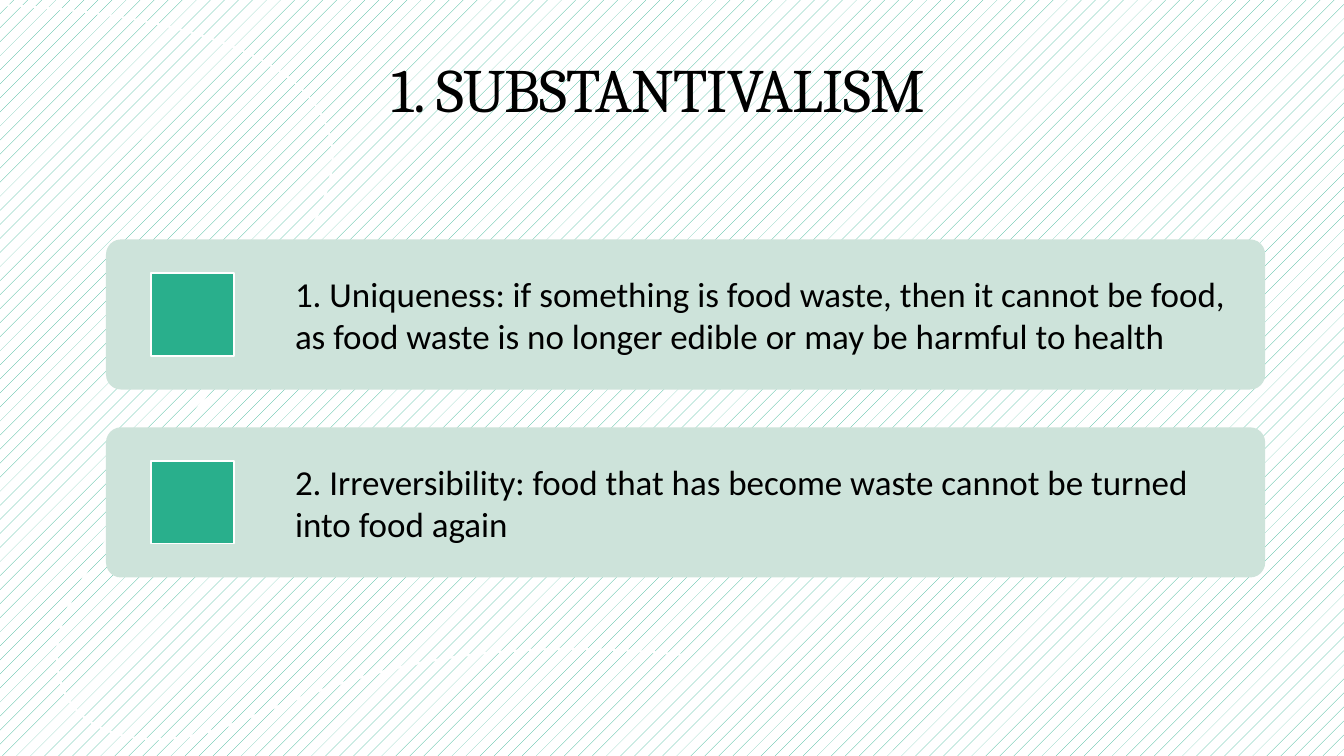
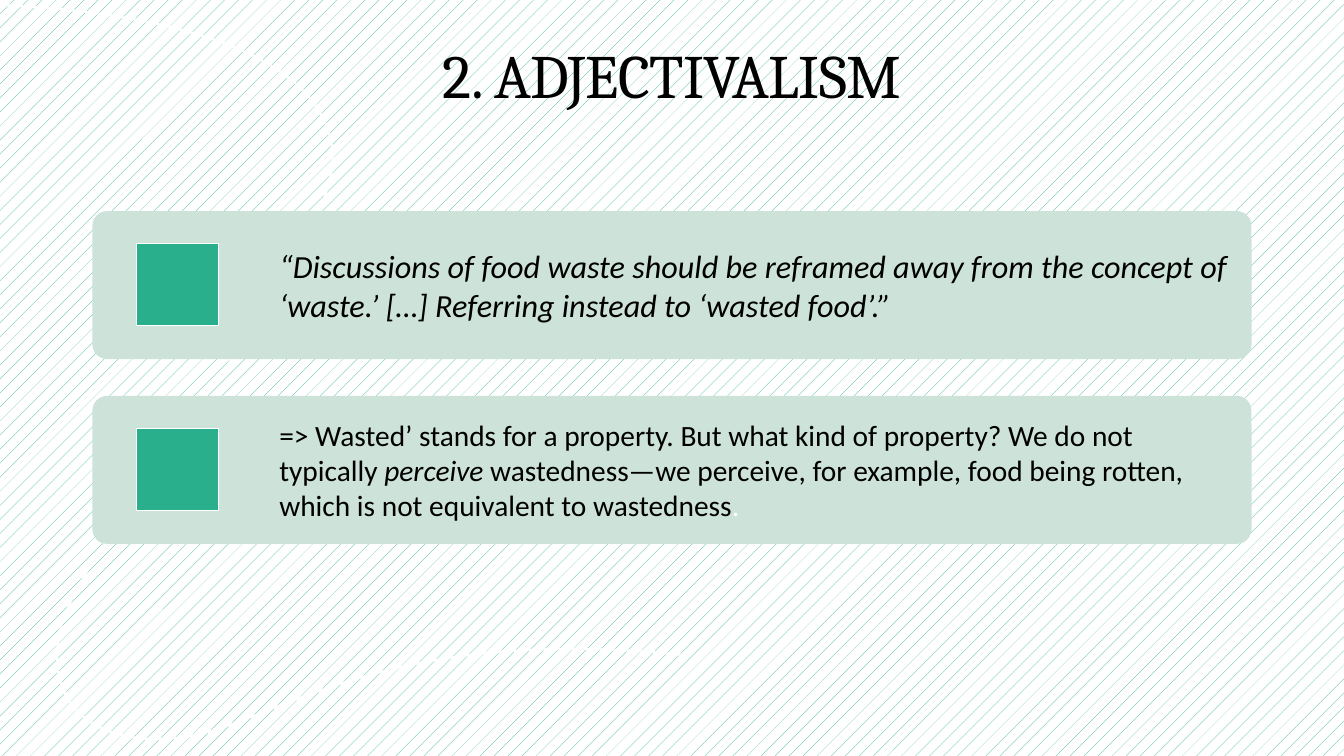
from dataclasses import dataclass

from pptx import Presentation
from pptx.dml.color import RGBColor
from pptx.enum.dml import MSO_PATTERN
from pptx.enum.shapes import MSO_SHAPE
from pptx.enum.text import MSO_ANCHOR, PP_ALIGN
from pptx.presentation import Presentation as Deck
from pptx.shapes.autoshape import Shape
from pptx.slide import Slide
from pptx.util import Emu, Pt

GREEN = RGBColor(0x29, 0xAF, 0x8C)
PALE = RGBColor(0xCD, 0xE3, 0xDA)
WHITE = RGBColor(0xFF, 0xFF, 0xFF)
BLACK = RGBColor(0x00, 0x00, 0x00)

DOTS = MSO_PATTERN.PERCENT_5
RECT = MSO_SHAPE.RECTANGLE
ROUND_RECT = MSO_SHAPE.ROUNDED_RECTANGLE
MIDDLE = MSO_ANCHOR.MIDDLE
CENTER = PP_ALIGN.CENTER

TITLE_FONT = "Cambria"
BODY_FONT = "Calibri"
EMU_PER_PX = 9525
SLIDE_W, SLIDE_H = 1280, 720
CONTENT_W = 1104
TITLE_H = 78
INSET = 15
STEPS = 24

Point = tuple[int, int]
SWIRL_START: Point = (6, 5)
SWIRL: list[tuple[Point, Point, Point]] = [
    ((143, 12), (308, 44), (317, 145)),
    ((324, 245), (72, 515), (56, 605)),
    ((40, 696), (131, 725), (223, 689)),
    ((315, 654), (422, 600), (653, 624)),
]


@dataclass(frozen=True)
class Span:
    text: str
    italic: bool = False
    color: RGBColor = BLACK


@dataclass(frozen=True)
class Card:
    size: int
    spans: list[Span]


@dataclass(frozen=True)
class Page:
    title: str
    title_at: Point
    cards_at: Point
    card_h: int
    cards: list[Card]


PAGES = [
    Page("1. SUBSTANTIVALISM", (75, 49), (101, 228), 143, [
        Card(25, [Span("1. Uniqueness: if something is food waste, then it cannot be food, "
                       "as food waste is no longer edible or may be harmful to health")]),
        Card(25, [Span("2. Irreversibility: food that has become waste cannot be turned "
                       "into food again")]),
    ]),
    Page("2. ADJECTIVALISM", (88, 36), (88, 201), 141, [
        Card(23, [Span("“Discussions of food waste should be reframed away from the concept of "
                       "‘waste.’ […] Referring instead to ‘wasted food’.”", italic=True)]),
        Card(21, [
            Span("=> Wasted’ stands for a property. But what kind of property? "
                 "We do not typically "),
            Span("perceive ", italic=True),
            Span("wastedness—we perceive, for example, food being rotten, "
                 "which is not equivalent to wastedness"),
            Span(".", color=WHITE),
        ]),
    ]),
]


def px(n: int) -> Emu:
    return Emu(n * EMU_PER_PX)


def bezier(a: int, b: int, c: int, d: int, t: float) -> float:
    u = 1 - t
    return u**3 * a + 3 * u * u * t * b + 3 * u * t * t * c + t**3 * d


def add_swirl(s: Slide) -> None:
    start = SWIRL_START
    points: list[tuple[float, float]] = []
    for c1, c2, end in SWIRL:
        for i in range(1, STEPS + 1):
            x, y = (bezier(*axis, i / STEPS) for axis in zip(start, c1, c2, end))
            points.append((round(x * EMU_PER_PX), round(y * EMU_PER_PX)))
        start = end
    fb = s.shapes.build_freeform(px(SWIRL_START[0]), px(SWIRL_START[1]), scale=1.0)
    fb.add_line_segments(points, close=False)
    sp = fb.convert_to_shape()
    sp.shadow.inherit = False
    sp.fill.background()
    sp.line.color.rgb = WHITE
    sp.line.width = Pt(1.5)


def add_box(s: Slide, kind: MSO_SHAPE, x: int, y: int, w: int, h: int,
            fill: RGBColor) -> Shape:
    sp = s.shapes.add_shape(kind, px(x), px(y), px(w), px(h))
    sp.shadow.inherit = False
    sp.fill.solid()
    sp.fill.fore_color.rgb = fill
    sp.line.fill.background()
    return sp


def add_text(s: Slide, x: int, y: int, w: int, h: int, spans: list[Span],
             font: str, size: int, inset: int) -> Shape:
    sp = s.shapes.add_textbox(px(x), px(y), px(w), px(h))
    tf = sp.text_frame
    tf.word_wrap = True
    tf.vertical_anchor = MIDDLE
    tf.margin_left = tf.margin_right = tf.margin_top = tf.margin_bottom = px(inset)
    p = tf.paragraphs[0]
    for span in spans:
        r = p.add_run()
        r.text = span.text
        r.font.name = font
        r.font.size = Pt(size)
        r.font.italic = span.italic
        r.font.color.rgb = span.color
    return sp


def add_title(s: Slide, page: Page) -> None:
    x, y = page.title_at
    sp = add_text(s, x, y, CONTENT_W, TITLE_H, [Span(page.title)], TITLE_FONT, 44, 0)
    p = sp.text_frame.paragraphs[0]
    p.alignment = CENTER
    p.line_spacing = 0.9
    for r in p.runs:
        r._r.get_or_add_rPr().set("spc", "-50")


def add_card(s: Slide, card: Card, x: int, y: int, h: int) -> None:
    panel = add_box(s, ROUND_RECT, x, y, CONTENT_W, h, PALE)
    panel.adjustments[0] = 0.1
    side = round(h * 0.55)
    icon = add_box(s, RECT, x + round(h * 0.3), y + (h - side) // 2, side, side, GREEN)
    icon.line.color.rgb = WHITE
    icon.line.width = Pt(1)
    indent = round(h * 1.155)
    add_text(s, x + indent, y, CONTENT_W - indent, h, card.spans, BODY_FONT,
             card.size, INSET)


def add_page(prs: Deck, page: Page) -> None:
    s = prs.slides.add_slide(prs.slide_layouts[6])
    fill = s.background.fill
    fill.patterned()
    fill.pattern = DOTS
    fill.fore_color.rgb = GREEN
    fill.back_color.rgb = WHITE
    add_swirl(s)
    add_title(s, page)
    x, y = page.cards_at
    for i, card in enumerate(page.cards):
        add_card(s, card, x, y + round(i * page.card_h * 1.25), page.card_h)


def main() -> None:
    prs = Presentation()
    prs.slide_width, prs.slide_height = px(SLIDE_W), px(SLIDE_H)
    for page in PAGES:
        add_page(prs, page)
    prs.save("out.pptx")


if __name__ == "__main__":
    main()
